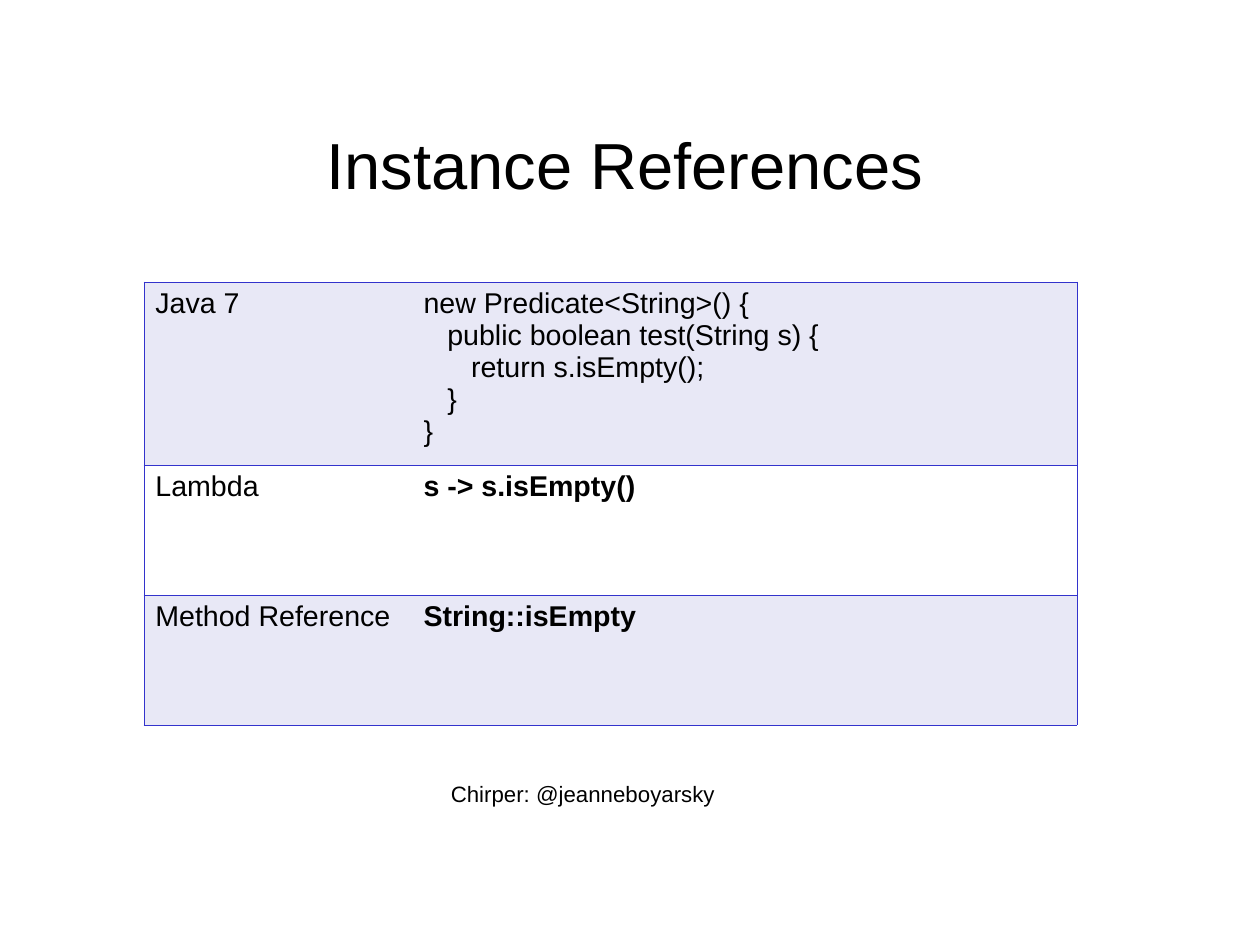
import pptx
import pptx.util
import pptx.dml.color
import pptx.enum.text
import lxml.etree

Pt = pptx.util.Pt
RGB = pptx.dml.color.RGBColor.from_string
ALIGN = pptx.enum.text.PP_ALIGN
ANCHOR = pptx.enum.text.MSO_ANCHOR

THEME = {
    "font": "Arial", "ink": "000000", "rule": "3333CC",
    "bands": ["E8E8F6", "FFFFFF"],
    "title": 41, "table": 18, "handle": 14, "rule_width": 0.45, "code_indent": 15,
}


def write(frame, text, size, bold=False, align=ALIGN.LEFT, spacing=1.0, levels=(0,)):
    frame.word_wrap = True
    frame.text = text
    for paragraph, level in zip(frame.paragraphs, levels):
        paragraph.alignment = align
        paragraph.line_spacing = spacing
        if level:
            paragraph._p.get_or_add_pPr().set("marL", str(Pt(level * THEME["code_indent"])))
        font = paragraph.runs[0].font
        font.name, font.size, font.bold = THEME["font"], Pt(size), bold
        font.color.rgb = RGB(THEME["ink"])


def add_border(cell, side, visible):
    properties = cell._tc.get_or_add_tcPr()
    namespace = "{" + properties.nsmap["a"] + "}"
    line = lxml.etree.SubElement(properties, namespace + "ln" + side)
    line.set("w", str(Pt(THEME["rule_width"])))
    if visible:
        fill = lxml.etree.SubElement(line, namespace + "solidFill")
        lxml.etree.SubElement(fill, namespace + "srgbClr").set("val", THEME["rule"])
    else:
        lxml.etree.SubElement(line, namespace + "noFill")


deck = pptx.Presentation()
deck.slide_width, deck.slide_height = Pt(793.75), Pt(595.25)
slide = deck.slides.add_slide(deck.slide_layouts[5])

title = slide.shapes.title
title.left, title.top, title.width, title.height = Pt(65.5), Pt(56.2), Pt(656.6), Pt(98.6)
heading = title.text_frame
heading.auto_size = pptx.enum.text.MSO_AUTO_SIZE.NONE
heading.vertical_anchor = ANCHOR.MIDDLE
heading.margin_left = heading.margin_right = heading.margin_top = heading.margin_bottom = 0
write(heading, "Instance References", size=THEME["title"], align=ALIGN.CENTER, spacing=0.93)

handle = slide.shapes.add_textbox(Pt(187.2), Pt(489.6), Pt(360), Pt(23))
write(handle.text_frame, "Chirper: @jeanneboyarsky", size=THEME["handle"],
      align=ALIGN.CENTER, spacing=0.93)

predicate_code = [
    (0, "new Predicate<String>() {"),
    (1, "public boolean test(String s) {"),
    (2, "return s.isEmpty();"),
    (1, "}"),
    (0, "}"),
]
styles = [
    ("Java 7", predicate_code, False, 115.2),
    ("Lambda", [(0, "s -> s.isEmpty()")], True, 82),
    ("Method Reference", [(0, "String::isEmpty")], True, 82),
]
comparison = slide.shapes.add_table(
    len(styles), 2, Pt(90.7), Pt(177.6), Pt(587.9), Pt(279.2)).table
comparison.first_row = comparison.horz_banding = False
for column, width in zip(comparison.columns, (168.9, 419)):
    column.width = Pt(width)

for row, (style, code, bold, height) in enumerate(styles):
    comparison.rows[row].height = Pt(height)
    for column, (lines, strong) in enumerate([([(0, style)], False), (code, bold)]):
        cell = comparison.cell(row, column)
        cell.margin_left = cell.margin_right = Pt(7.2)
        cell.margin_top = cell.margin_bottom = Pt(3.6)
        cell.vertical_anchor = ANCHOR.TOP
        levels, texts = zip(*lines)
        write(cell.text_frame, "\n".join(texts), size=THEME["table"], bold=strong, levels=levels)
        for side, visible in (("L", column == 0), ("R", column == 1), ("T", True), ("B", True)):
            add_border(cell, side, visible)
        cell.fill.solid()
        cell.fill.fore_color.rgb = RGB(THEME["bands"][row % 2])

deck.save("out.pptx")
